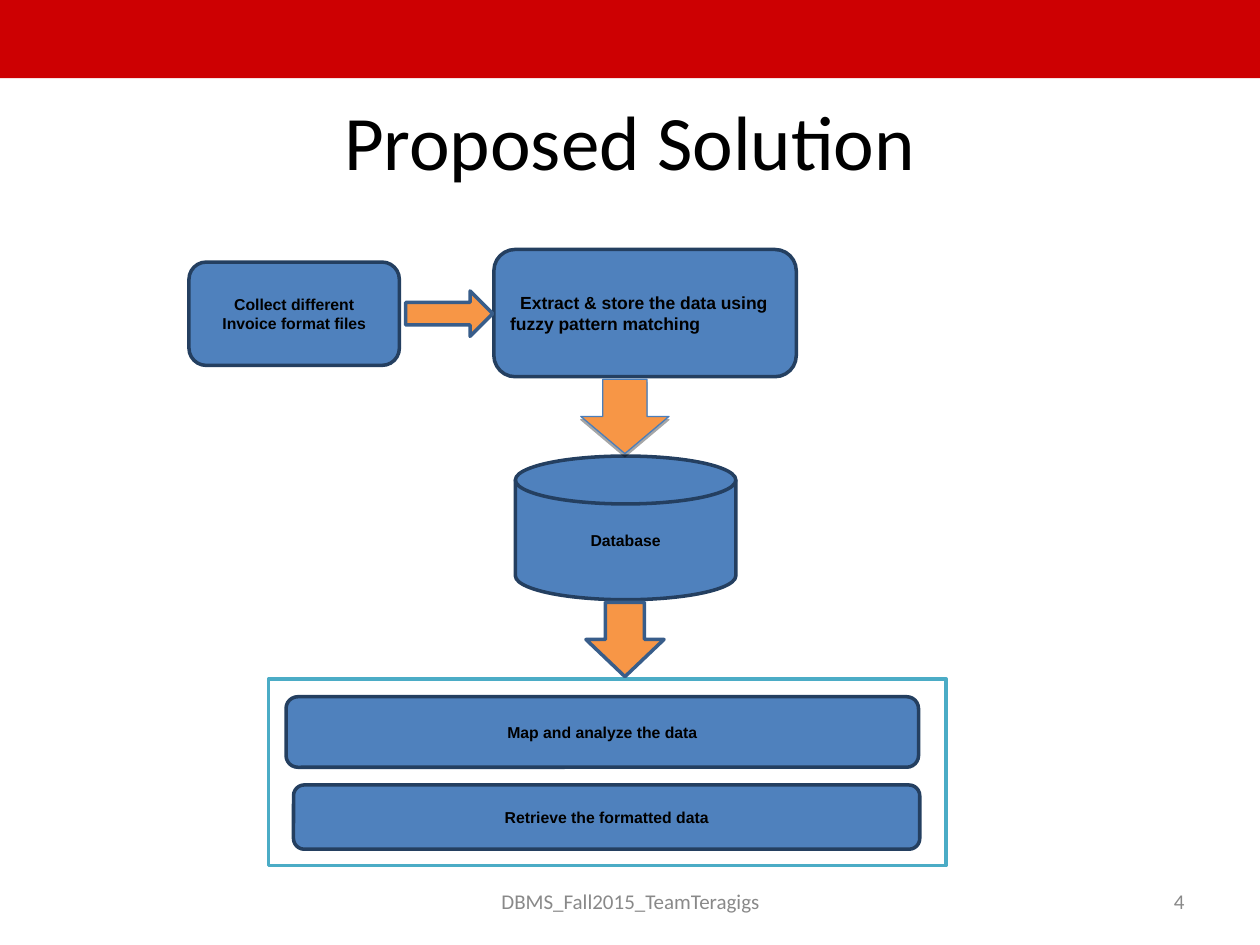
from lxml import etree
from pptx import Presentation
from pptx.dml.color import RGBColor
from pptx.enum.shapes import MSO_SHAPE as SHAPE
from pptx.enum.text import MSO_ANCHOR as ANCHOR, PP_ALIGN as ALIGN
from pptx.util import Pt

PX = 9144  # 100 px to the inch
COLORS = {
    "banner": "CD0002", "white": "FFFFFF", "black": "000000", "footer": "898989",
    "step": "4F81BD", "step_edge": "243F60", "frame_edge": "4BACC6",
    "arrow": "F79646", "arrow_edge": "385D8A", "soft_edge": "4A7EBB",
}

deck = Presentation()
deck.slide_width, deck.slide_height = 1000 * PX, 750 * PX
slide = deck.slides.add_slide(deck.slide_layouts[6])


def add_block(kind, box, fill, edge=None, width=2):
    block = slide.shapes.add_shape(kind, *(n * PX for n in box))
    block.shadow.inherit = False
    block.fill.solid()
    block.fill.fore_color.rgb = RGBColor.from_string(COLORS[fill])
    if edge:
        block.line.color.rgb = RGBColor.from_string(COLORS[edge])
        block.line.width = Pt(width)
    else:
        block.line.fill.background()
    return block


def write(holder, text, size, font, color="black", align=ALIGN.CENTER, bold=False, inset=(10, 5)):
    frame = holder.text_frame
    frame.word_wrap = True
    frame.vertical_anchor = ANCHOR.MIDDLE
    frame.margin_left = frame.margin_right = inset[0] * PX
    frame.margin_top = frame.margin_bottom = inset[1] * PX
    paragraph = frame.paragraphs[0]
    paragraph.text = text
    paragraph.alignment = align
    paragraph.font.size = Pt(size)
    paragraph.font.name = font
    paragraph.font.bold = bold
    paragraph.font.color.rgb = RGBColor.from_string(COLORS[color])
    return paragraph


# Banner and the frame around the last two steps
add_block(SHAPE.RECTANGLE, (0, 0, 1000, 62), "banner")
add_block(SHAPE.RECTANGLE, (213, 539, 538, 148), "white", "frame_edge")

# Title, footer and slide number
for text, box, size, color, align in [
    ("Proposed Solution", (50, 67, 900, 88), 44, "black", ALIGN.CENTER),
    ("DBMS_Fall2015_TeamTeragigs", (342, 695, 317, 40), 12, "footer", ALIGN.CENTER),
    ("4", (717, 695, 233, 40), 12, "footer", ALIGN.RIGHT),
]:
    label = slide.shapes.add_textbox(*(n * PX for n in box))
    write(label, text, size, "Calibri", color, align)

# Steps of the flow
ROUNDED, DISK = SHAPE.ROUNDED_RECTANGLE, SHAPE.FLOWCHART_MAGNETIC_DISK
for text, kind, box, size, align in [
    ("Collect different\vInvoice format files", ROUNDED, (150, 208, 167, 82), 9, ALIGN.CENTER),
    ("Extract & store the data using fuzzy pattern matching", ROUNDED,
     (392, 198, 240, 101), 10, ALIGN.LEFT),
    ("Database", DISK, (409, 362, 175, 114), 9, ALIGN.CENTER),
    ("Map and analyze the data", ROUNDED, (227, 553, 502, 56), 9, ALIGN.CENTER),
    ("Retrieve the formatted data", ROUNDED, (233, 623, 497, 51), 9, ALIGN.CENTER),
]:
    step = add_block(kind, box, "step", "step_edge")
    paragraph = write(step, text, size, "Arial", align=align, bold=True, inset=(8, 4))
    if align == ALIGN.LEFT:  # first-line indent
        paragraph._p.get_or_add_pPr().set("indent", str(8 * PX))

# Arrows between the steps
add_block(SHAPE.RIGHT_ARROW, (322, 231, 69, 36), "arrow", "arrow_edge")
add_block(SHAPE.DOWN_ARROW, (465, 478, 62, 59), "arrow", "arrow_edge")
to_database = add_block(SHAPE.DOWN_ARROW, (461, 301, 70, 59), "arrow", "soft_edge", 0.75)

# Drop shadow under the arrow to the database
NS = "http://schemas.openxmlformats.org/drawingml/2006/main"
effects = to_database._element.spPr.find(f"{{{NS}}}effectLst")
effects.append(etree.fromstring(
    f'<a:outerShdw xmlns:a="{NS}" blurRad="0" dist="22860" dir="5400000" rotWithShape="0">'
    f'<a:srgbClr val="{COLORS["black"]}"><a:alpha val="35000"/></a:srgbClr></a:outerShdw>'))

deck.save("out.pptx")
